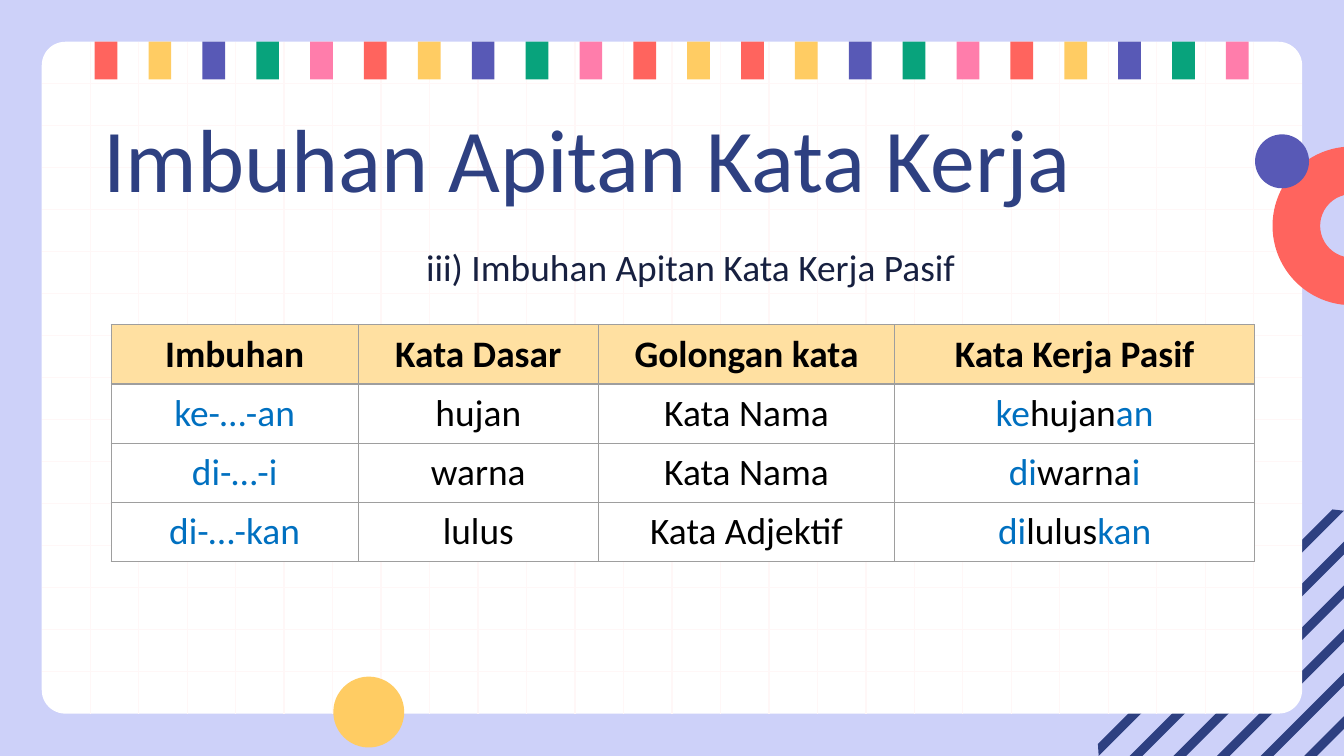
from lxml import etree
from pptx import Presentation
from pptx.dml.color import RGBColor
from pptx.enum.shapes import MSO_CONNECTOR, MSO_SHAPE
from pptx.enum.text import PP_ALIGN
from pptx.oxml.ns import qn
from pptx.util import Cm, Pt

RECTANGLE = MSO_SHAPE.RECTANGLE
ROUNDED = MSO_SHAPE.ROUNDED_RECTANGLE
OVAL = MSO_SHAPE.OVAL
BLOCK_ARC = MSO_SHAPE.BLOCK_ARC
STRAIGHT = MSO_CONNECTOR.STRAIGHT
LEFT, CENTER = PP_ALIGN.LEFT, PP_ALIGN.CENTER

LAVENDER = RGBColor(0xCD, 0xD1, 0xF9)
NAVY = RGBColor(0x2E, 0x40, 0x81)
INK = RGBColor(0x17, 0x20, 0x40)
WHITE = RGBColor(0xFF, 0xFF, 0xFF)
BLACK = RGBColor(0x00, 0x00, 0x00)
GRID_PINK = RGBColor(0xFF, 0xF7, 0xF7)
RED = RGBColor(0xFF, 0x64, 0x5E)
YELLOW = RGBColor(0xFF, 0xCC, 0x63)
PURPLE = RGBColor(0x58, 0x59, 0xB6)
GREEN = RGBColor(0x08, 0xA3, 0x7C)
PINK = RGBColor(0xFF, 0x7D, 0xAB)
HEADER_FILL = RGBColor(0xFF, 0xE0, 0xA1)
BORDER = RGBColor(0x9E, 0x9E, 0x9E)
BLUE = RGBColor(0x00, 0x70, 0xC0)
FONT = "Calibri"


def paint(shape, color):
    shape.shadow.inherit = False
    shape.fill.solid()
    shape.fill.fore_color.rgb = color
    shape.line.fill.background()


def style_span(span, size, color, bold=False):
    span.font.name = FONT
    span.font.size = Pt(size)
    span.font.bold = bold
    span.font.color.rgb = color


deck = Presentation()
deck.slide_width, deck.slide_height = Cm(25.4), Cm(14.29)
page = deck.slides.add_slide(deck.slide_layouts[6])
page.background.fill.solid()
page.background.fill.fore_color.rgb = LAVENDER
shapes = page.shapes

# Diagonal stripes, clipped to the bottom right corner area.
# Each edge runs along x + y = total.
area_left, area_top, area_right, area_bottom = 20.75, 9.63, 25.4, 14.29
for index in range(7):
    upper_edge = 38.94 - index * 0.825
    corners = []
    for total in (upper_edge, upper_edge + 0.24):
        low_x = max(area_left, total - area_bottom)
        high_x = min(area_right, total - area_top)
        ends = [(Cm(x), Cm(total - x)) for x in (low_x, high_x)]
        corners += ends if not corners else ends[::-1]
    builder = shapes.build_freeform(*corners[0], scale=1.0)
    builder.add_line_segments(corners[1:], close=True)
    paint(builder.convert_to_shape(), NAVY)

# White panel with its grid
panel_left, panel_top, panel_width, panel_height = 0.79, 0.79, 23.82, 12.7
panel_right, panel_bottom = panel_left + panel_width, panel_top + panel_height
panel = shapes.add_shape(
    ROUNDED, Cm(panel_left), Cm(panel_top), Cm(panel_width), Cm(panel_height))
panel.adjustments[0] = 0.035
paint(panel, WHITE)

grid_lines = []
for row in range(1, 16):
    y = panel_top + row * panel_height / 16
    grid_lines.append((panel_left, y, panel_right, y))
for column in range(1, 26):
    x = panel_left + column * panel_width / 26
    grid_lines.append((x, panel_top, x, panel_bottom))
for ends in grid_lines:
    grid_line = shapes.add_connector(STRAIGHT, *[Cm(value) for value in ends])
    grid_line.line.color.rgb = GRID_PINK
    grid_line.line.width = Pt(0.75)
    etree.SubElement(grid_line._element.spPr, qn("a:effectLst"))

# Row of flags: the colour cycle restarts after the twelfth
cycle = [RED, YELLOW, PURPLE, GREEN, PINK]
for index in range(22):
    flag = shapes.add_shape(
        RECTANGLE, Cm(1.79 + index * 21.38 / 21), Cm(panel_top), Cm(0.43), Cm(0.71))
    paint(flag, cycle[index % 12 % 5])

# Half ring and dots
ring = shapes.add_shape(BLOCK_ARC, Cm(24.05), Cm(2.77), Cm(3), Cm(3))
ring.adjustments[0] = 54
ring.adjustments[1] = 162
ring.adjustments[2] = 0.3
paint(ring, RED)
for left, top, size, color in [(6.3, 12.79, 1.34, YELLOW), (23.72, 2.54, 1.02, PURPLE)]:
    dot = shapes.add_shape(OVAL, Cm(left), Cm(top), Cm(size), Cm(size))
    paint(dot, color)

# Title and subtitle
headings = [
    ("Imbuhan Apitan Kata Kerja", (1.7, 1.7, 21.41, 2.6), 0.25, 48, NAVY, LEFT, 1),
    ("iii) Imbuhan Apitan Kata Kerja Pasif", (1.5, 3.94, 22.73, 1.8), 0.63, 20, INK,
     CENTER, 1.5),
]
for text, place, inset_left, size, color, align, spacing in headings:
    box = shapes.add_textbox(*[Cm(value) for value in place])
    frame = box.text_frame
    frame.word_wrap = True
    frame.margin_left = Cm(inset_left)
    frame.margin_top = frame.margin_right = frame.margin_bottom = Cm(0.25)
    frame.text = text
    para = frame.paragraphs[0]
    para.alignment = align
    para.line_spacing = spacing
    style_span(para.runs[0], size, color)

# Affix table: every cell is a list of (text, colour) spans
rows = [[[(heading, BLACK)] for heading in
         ("Imbuhan", "Kata Dasar", "Golongan kata", "Kata Kerja Pasif")]]
for prefix, base, suffix, word_class in [
    ("ke", "hujan", "an", "Kata Nama"),
    ("di", "warna", "i", "Kata Nama"),
    ("di", "lulus", "kan", "Kata Adjektif"),
]:
    rows.append([
        [(f"{prefix}-…-{suffix}", BLUE)],
        [(base, BLACK)],
        [(word_class, BLACK)],
        [(prefix, BLUE), (base, BLACK), (suffix, BLUE)],
    ])

column_widths = [4.67, 4.54, 5.6, 6.8]
row_height = 1.12
table = shapes.add_table(
    len(rows), len(column_widths), Cm(2.1), Cm(6.14),
    Cm(sum(column_widths)), Cm(row_height * len(rows))).table
table.first_row = table.horz_banding = False
for column, width in zip(table.columns, column_widths):
    column.width = Cm(width)
for row_index, row in enumerate(rows):
    table.rows[row_index].height = Cm(row_height)
    is_header = row_index == 0
    for column_index, parts in enumerate(row):
        cell = table.cell(row_index, column_index)
        properties = cell._tc.get_or_add_tcPr()
        for side in ("a:lnL", "a:lnR", "a:lnT", "a:lnB"):
            border = etree.SubElement(properties, qn(side), w=str(Pt(0.75)))
            fill = etree.SubElement(border, qn("a:solidFill"))
            etree.SubElement(fill, qn("a:srgbClr"), val=str(BORDER))
        cell.fill.solid()
        cell.fill.fore_color.rgb = HEADER_FILL if is_header else WHITE
        para = cell.text_frame.paragraphs[0]
        para.alignment = CENTER
        for text, color in parts:
            span = para.add_run()
            span.text = text
            style_span(span, 20, color, is_header)

deck.save("out.pptx")
